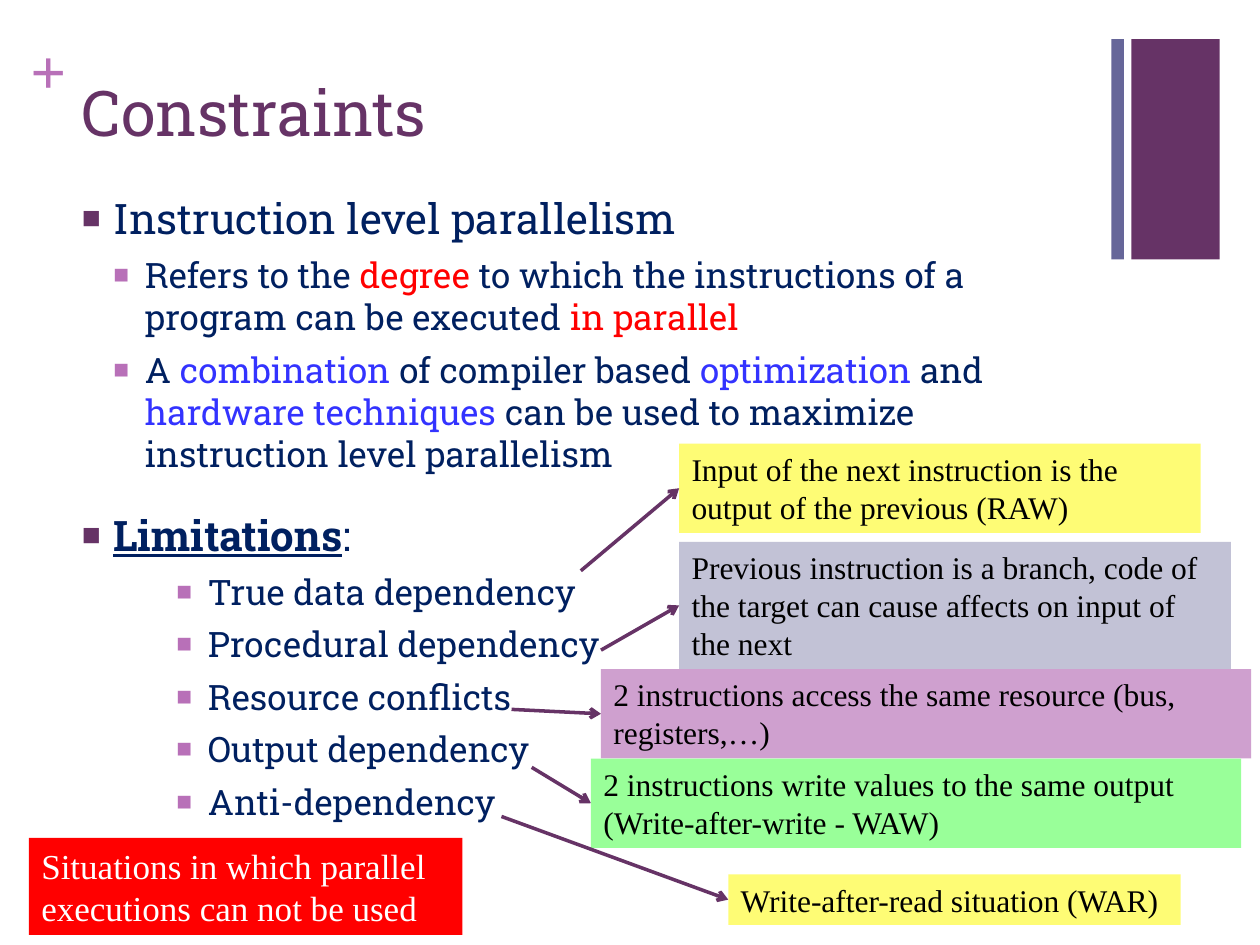
"""Build the Constraints slide on instruction level parallelism."""
from lxml.etree import SubElement
from pptx import Presentation
from pptx.dml.color import RGBColor
from pptx.enum.shapes import MSO_CONNECTOR, MSO_SHAPE
from pptx.enum.text import MSO_ANCHOR, MSO_AUTO_SIZE, PP_ALIGN
from pptx.oxml.ns import qn
from pptx.util import Inches, Pt

COLORS = {
    "plum": "663366", "orchid": "B870B8", "slate": "666699", "navy": "002060",
    "red": "FF0000", "blue": "3333FF", "yellow": "FEFC75", "gray": "C2C2D6",
    "pink": "CFA0CF", "green": "99FF99", "black": "000000", "white": "FFFFFF",
}
SLAB, TIMES = "Roboto Slab", "Times New Roman"


def add_text(p, text, size=18, font=TIMES, color="black", bold=False, underline=False):
    r = p.add_run()
    r.text = text
    r.font.size = Pt(size)
    r.font.name = font
    r.font.bold = bold
    r.font.underline = underline
    r.font.color.rgb = RGBColor.from_string(COLORS[color])


def add_box(s, left, top, width, height, fill):
    sp = s.shapes.add_shape(MSO_SHAPE.RECTANGLE, Inches(left), Inches(top), Inches(width), Inches(height))
    sp.shadow.inherit = False
    sp.fill.solid()
    sp.fill.fore_color.rgb = RGBColor.from_string(COLORS[fill])
    sp.line.fill.background()
    return sp


prs = Presentation()
prs.slide_width, prs.slide_height = Inches(10), Inches(7.5)
s = prs.slides.add_slide(prs.slide_layouts[1])

add_box(s, 8.98, 0.31, 0.7, 1.75, "plum")
add_box(s, 8.82, 0.31, 0.1, 1.75, "slate")
plus = s.shapes.add_textbox(Inches(0.24), Inches(0.25), Inches(0.29), Inches(0.61))
tf = plus.text_frame
tf.margin_left = tf.margin_right = tf.margin_top = tf.margin_bottom = 0
add_text(tf.paragraphs[0], "+", size=36, color="orchid", bold=True)

title, body = s.shapes.title, s.placeholders[1]
for sp, top, height in [(title, 0.53, 1.22), (body, 1.48, 5.22)]:
    sp.left, sp.top, sp.width, sp.height = Inches(0.55), Inches(top), Inches(8.26), Inches(height)
    sp.text_frame.vertical_anchor = MSO_ANCHOR.TOP
    sp.text_frame.auto_size = MSO_AUTO_SIZE.NONE
    sp.text_frame.word_wrap = True
p = title.text_frame.paragraphs[0]
p.alignment = PP_ALIGN.LEFT
add_text(p, "Constraints", size=36, font=SLAB, color="plum")

outline = [
    (0, [("Instruction level parallelism", {})]),
    (1, [("Refers to the ", {}), ("degree", {"color": "red"}),
         (" to which the instructions of a program can be executed ", {}),
         ("in parallel", {"color": "red"})]),
    (1, [("A ", {}), ("combination ", {"color": "blue"}), ("of compiler based ", {}),
         ("optimization", {"color": "blue"}), (" and ", {}),
         ("hardware techniques ", {"color": "blue"}),
         ("can be used to maximize instruction level parallelism", {})]),
    (0, [("Limitations", {"bold": True, "underline": True}), (":", {})]),
    (3, [("True data dependency", {})]),
    (3, [("Procedural dependency", {})]),
    (3, [("Resource conflicts", {})]),
    (3, [("Output dependency", {})]),
    (3, [("Anti-dependency", {})]),
]
tf = body.text_frame
for i, (level, runs) in enumerate(outline):
    p = tf.add_paragraph() if i else tf.paragraphs[0]
    p.level = level
    p.line_spacing = 1.0
    p.space_before = Pt(6 if level else 20)
    pPr = p._p.get_or_add_pPr()
    pPr.set("marL", str(Inches(0.25 * (level + 1))))
    pPr.set("indent", str(-Inches(0.25)))
    bullet_color = SubElement(pPr, qn("a:buClr"))
    SubElement(bullet_color, qn("a:srgbClr"), val=COLORS["orchid" if level else "plum"])
    SubElement(pPr, qn("a:buSzPct"), val="75000")
    SubElement(pPr, qn("a:buChar"), char="■")
    for text, style in runs:
        add_text(p, text, **{"size": 20 if level else 24, "font": SLAB, "color": "navy", **style})

notes = [
    ("Input of the next instruction is the output of the previous (RAW)",
     (5.39, 3.52, 4.14, 0.71), "yellow", (4.61, 4.53)),
    ("Previous instruction is a branch, code of the target can cause affects on input of the next",
     (5.39, 4.3, 4.38, 1.01), "gray", (4.77, 5.16)),
    ("2 instructions access the same resource (bus, registers,…)",
     (4.77, 5.31, 5.16, 0.71), "pink", (4.06, 5.63)),
    ("2 instructions write values to the same output (Write-after-write - WAW)",
     (4.69, 6.02, 5.16, 0.71), "green", (4.22, 6.09)),
    ("Write-after-read situation (WAR)",
     (5.78, 6.94, 3.59, 0.4), "yellow", (3.98, 6.48)),
    ("Situations in which parallel executions can not be used",
     (0.23, 6.65, 3.44, 0.77), "red", None),
]
for text, place, fill, start in notes:
    sp = add_box(s, *place, fill)
    tf = sp.text_frame
    tf.word_wrap = True
    tf.auto_size = MSO_AUTO_SIZE.SHAPE_TO_FIT_TEXT
    tf.vertical_anchor = MSO_ANCHOR.TOP
    p = tf.paragraphs[0]
    p.alignment = PP_ALIGN.LEFT
    if start is None:
        add_text(p, text, size=20, color="white")
        continue
    add_text(p, text)
    x, y = Inches(start[0]), Inches(start[1])
    arrow = s.shapes.add_connector(MSO_CONNECTOR.STRAIGHT, x, y, x, y)
    arrow.end_connect(sp, 1)
    arrow.line.color.rgb = RGBColor.from_string(COLORS["plum"])
    arrow.line.width = Pt(2)
    spPr = arrow.element.spPr
    SubElement(spPr.find(qn("a:ln")), qn("a:tailEnd"), type="arrow")
    SubElement(spPr, qn("a:effectLst"))

prs.save("out.pptx")
